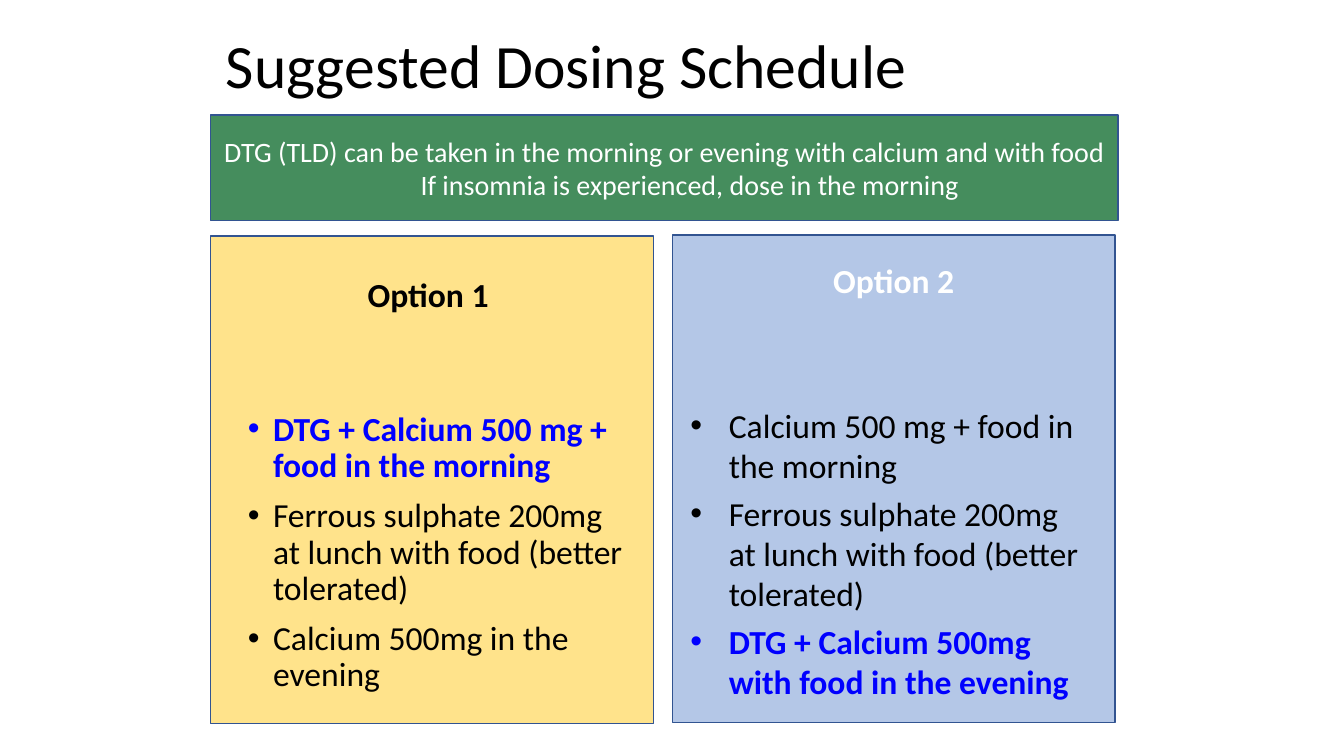
from lxml import etree
from pptx import Presentation
from pptx import util as u
from pptx.dml.color import RGBColor
from pptx.enum import shapes, text
from pptx.oxml import ns

COLORS = {
    "black": "000000",
    "white": "FFFFFF",
    "blue": "0000FF",
    "border": "325491",
    "green": "458D5D",
    "yellow": "FFE38B",
    "pale_blue": "B4C7E7",
}
WIDTH, HEIGHT = u.Inches(13.33), u.Inches(7.5)
LEFT, FULL_WIDTH = 15.68, 67.52
PANEL_WIDTH, PANEL_HEIGHT = 32.93, 64.53
HEADING_HEIGHT = 6.67

FERROUS = ("Ferrous sulphate 200mg at lunch with food (better tolerated)", False)
MORNING_DOSE = [
    ("DTG + Calcium 500 mg + food in the morning", True),
    FERROUS,
    ("Calcium 500mg in the evening", False),
]
EVENING_DOSE = [
    ("Calcium 500 mg + food in the morning", False),
    FERROUS,
    ("DTG + Calcium 500mg with food in the evening", True),
]


def color(name):
    return RGBColor.from_string(COLORS[name])


def apply(target, values):
    for name, value in values.items():
        setattr(target, name, value)


def box(left, top, width, height):
    return (
        int(WIDTH * left / 100),
        int(HEIGHT * top / 100),
        int(WIDTH * width / 100),
        int(HEIGHT * height / 100),
    )


def write(paragraph, words, size, color_name, bold=False, **layout):
    apply(paragraph, layout)
    run = paragraph.add_run()
    run.text = words
    apply(run.font, {"name": "Calibri", "size": u.Pt(size), "bold": bold})
    run.font.color.rgb = color(color_name)


def next_paragraph(frame, index):
    return frame.add_paragraph() if index else frame.paragraphs[0]


def indent(paragraph, left, first):
    properties = paragraph._p.get_or_add_pPr()
    properties.set("marL", str(u.Inches(left)))
    properties.set("indent", str(u.Inches(first)))
    return properties


def add_title(slide, words, bounds):
    title = slide.shapes.title
    apply(title, dict(zip(("left", "top", "width", "height"), bounds)))
    frame = title.text_frame
    apply(frame, {"word_wrap": True, "vertical_anchor": text.MSO_ANCHOR.MIDDLE})
    write(frame.paragraphs[0], words, 44, "black",
          alignment=text.PP_ALIGN.LEFT, line_spacing=0.9)


def add_panel(slide, bounds, fill):
    shape = slide.shapes.add_shape(shapes.MSO_SHAPE.RECTANGLE, *bounds)
    shape.shadow.inherit = False
    shape.fill.solid()
    shape.fill.fore_color.rgb = color(fill)
    shape.line.color.rgb = color("border")
    shape.line.width = u.Pt(1)
    return shape


def add_banner(slide, lines, bounds):
    frame = add_panel(slide, bounds, "green").text_frame
    apply(frame, {"word_wrap": True, "vertical_anchor": text.MSO_ANCHOR.MIDDLE})
    for level, words in enumerate(lines):
        paragraph = next_paragraph(frame, level)
        indent(paragraph, 0.5 * level, 0)
        write(paragraph, words, 20, "white",
              alignment=text.PP_ALIGN.CENTER, level=level)


def add_text_frame(slide, bounds):
    frame = slide.shapes.add_textbox(*bounds).text_frame
    frame.word_wrap = True
    return frame


def add_heading(slide, words, bounds, color_name):
    frame = add_text_frame(slide, bounds)
    write(frame.paragraphs[0], words, 24, color_name, True,
          alignment=text.PP_ALIGN.CENTER)


def add_bullets(slide, items, bounds, hanging, spacing, gap):
    frame = add_text_frame(slide, bounds)
    for index, (words, highlighted) in enumerate(items):
        paragraph = next_paragraph(frame, index)
        properties = indent(paragraph, hanging, -hanging)
        etree.SubElement(properties, ns.qn("a:buFont"), typeface="Arial")
        etree.SubElement(properties, ns.qn("a:buChar"), char="•")
        write(paragraph, words, 24, "blue" if highlighted else "black", highlighted,
              line_spacing=spacing, space_before=u.Pt(gap if index else 0))


def main():
    presentation = Presentation()
    apply(presentation, {"slide_width": WIDTH, "slide_height": HEIGHT})
    slide = presentation.slides.add_slide(presentation.slide_layouts[5])

    add_panel(slide, box(50.04, 31.07, PANEL_WIDTH, PANEL_HEIGHT), "pale_blue")
    add_panel(slide, box(LEFT, 31.2, PANEL_WIDTH, PANEL_HEIGHT), "yellow")
    add_title(slide, "Suggested Dosing Schedule", box(16.05, 0.67, FULL_WIDTH, 16.67))
    add_bullets(slide, MORNING_DOSE, box(17.7, 53.87, 30.23, 43.2), 0.25, 0.9, 10)
    add_bullets(slide, EVENING_DOSE, box(50.64, 52.93, 30.91, 41.87), 0.38, 1.0, 5)
    add_banner(slide, [
        "DTG (TLD) can be taken in the morning or evening with calcium and with food",
        "If insomnia is experienced, dose in the morning",
    ], box(LEFT, 15.2, FULL_WIDTH, 14))
    add_heading(slide, "Option 1", box(24.91, 35.6, 13.88, HEADING_HEIGHT), "black")
    add_heading(slide, "Option 2", box(59.11, 33.73, 14.78, HEADING_HEIGHT), "white")

    presentation.save("out.pptx")


if __name__ == "__main__":
    main()
